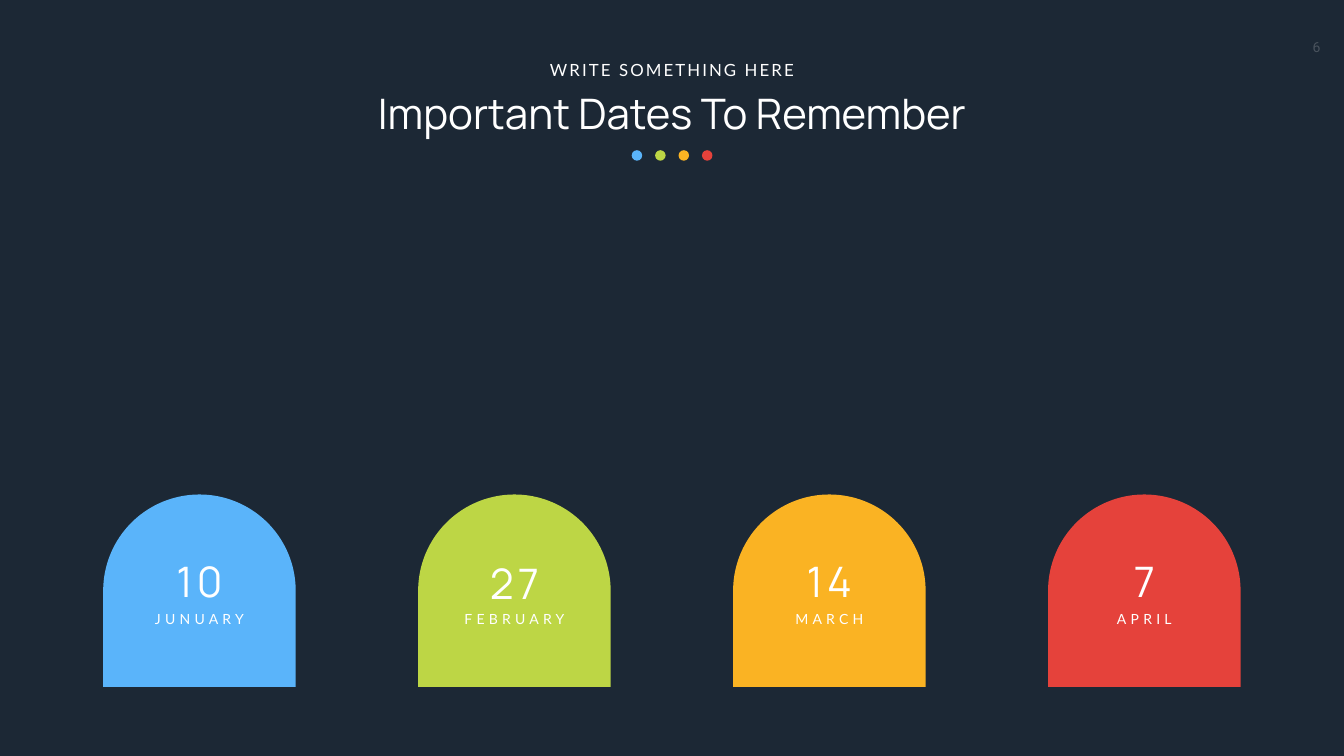
import pptx
import pptx.util
import pptx.dml.color
import pptx.enum.shapes
import pptx.enum.text
import pptx.oxml

Cm = pptx.util.Cm
RGB = pptx.dml.color.RGBColor
KIND = pptx.enum.shapes.MSO_SHAPE

NIGHT = RGB(0x1C, 0x28, 0x35)
WHITE = RGB(0xFF, 0xFF, 0xFF)
BLUE = RGB(0x5A, 0xB4, 0xFA)
GREEN = RGB(0xBD, 0xD6, 0x45)
AMBER = RGB(0xFA, 0xB3, 0x23)
RED = RGB(0xE5, 0x42, 0x3B)

WIDTH, HEIGHT = 67.72, 38.1

# Day, month, colour, top of the day
DATES = [
    ("10", "JUNUARY", BLUE, 27.86),
    ("27", "FEBRUARY", GREEN, 27.99),
    ("14", "MARCH", AMBER, 27.86),
    ("7", "APRIL", RED, 27.86),
]


def add_form(slide, kind, left, top, width, height, color):
    form = slide.shapes.add_shape(kind, Cm(left), Cm(top), Cm(width), Cm(height))
    form.shadow.inherit = False
    form.fill.solid()
    form.fill.fore_color.rgb = color
    form.line.fill.background()
    return form


def add_text(slide, text, left, top, width, height, font, size, space=0):
    """Add a centred white line; space is the letter spacing in points."""
    box = slide.shapes.add_textbox(Cm(left), Cm(top), Cm(width), Cm(height))
    box.text_frame.word_wrap = True
    line = box.text_frame.paragraphs[0]
    line.text = text
    line.alignment = pptx.enum.text.PP_ALIGN.CENTER
    line.font.name = font
    line.font.size = pptx.util.Pt(size)
    line.font.color.rgb = WHITE
    if space:
        line.runs[0].font._element.set("spc", str(space * 100))


def add_veil(slide):
    """Dim what lies behind with a sheet of 80 % opacity."""
    veil = add_form(slide, KIND.RECTANGLE, 0, 0, WIDTH, 32.66, NIGHT)
    color = veil.fill._xPr.solidFill[0]
    alpha = pptx.oxml.parse_xml(
        '<a:alpha xmlns:a="http://schemas.openxmlformats.org/drawingml/2006/main"'
        ' val="80000"/>'
    )
    color.append(alpha)


def add_head(slide):
    add_text(slide, "Important Dates To Remember", 13.46, 4.27, 40.8, 2.82, "Manrope", 60)
    add_text(slide, "WRITE SOMETHING HERE", 27.33, 2.87, 13.06, 1.27, "Lato", 24, 3)
    for i, (_, _, color, _) in enumerate(DATES):
        add_form(slide, KIND.OVAL, 31.83 + i * 1.18, 7.57, 0.53, 0.53, color)


def add_date(slide, left, day, month, color, top):
    side = 9.7
    arch = add_form(slide, KIND.FLOWCHART_DELAY, left, 24.92, side, side, color)
    arch.rotation = 270
    add_text(slide, day, left, top, side, 2.82, "Manrope", 60, 6)
    add_text(slide, month, left, 30.66, side, 1.12, "Lato", 20, 6)


def main():
    deck = pptx.Presentation()
    deck.slide_width, deck.slide_height = Cm(WIDTH), Cm(HEIGHT)
    slide = deck.slides.add_slide(deck.slide_layouts[6])
    slide.background.fill.solid()
    slide.background.fill.fore_color.rgb = NIGHT

    # Page number, dimmed by the veil
    add_text(slide, "6", 65.05, 1.83, 2.57, 1.1, "Roboto", 20)
    add_veil(slide)

    # Heading and row of dates
    add_head(slide)
    for i, date in enumerate(DATES):
        add_date(slide, 5.2 + i * 15.87, *date)

    deck.save("out.pptx")


if __name__ == "__main__":
    main()
